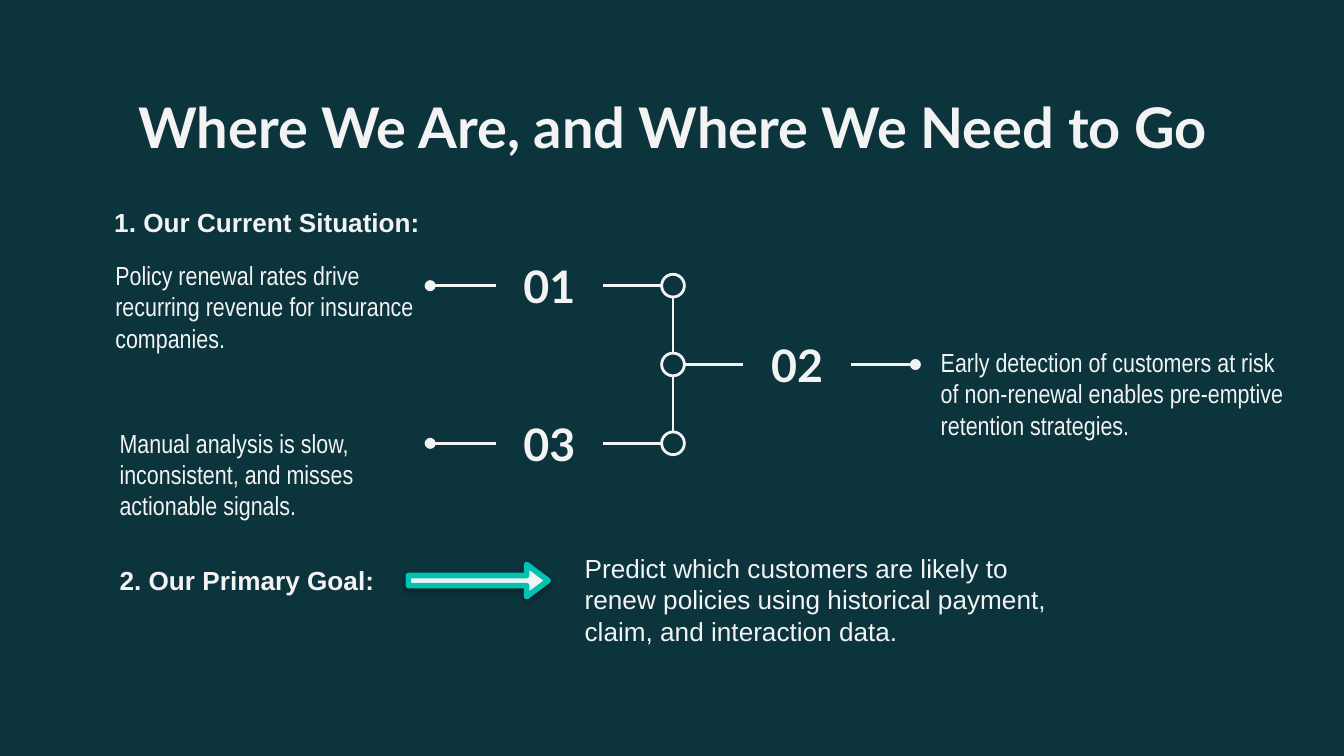
from pptx import Presentation
from pptx.dml.color import RGBColor
from pptx.enum.shapes import MSO_CONNECTOR, MSO_SHAPE
from pptx.enum.text import MSO_ANCHOR, PP_ALIGN
from pptx.oxml import parse_xml
from pptx.oxml.ns import nsdecls
from pptx.util import Cm, Pt

DARK = RGBColor(0x0C, 0x34, 0x3D)
PALE = RGBColor(0xF3, 0xF3, 0xF3)
TEAL = RGBColor(0x00, 0xC3, 0xB1)
LINE = MSO_CONNECTOR.STRAIGHT
OVAL, ARROW = MSO_SHAPE.OVAL, MSO_SHAPE.RIGHT_ARROW
TOP, MIDDLE = MSO_ANCHOR.TOP, MSO_ANCHOR.MIDDLE
LEFT, CENTER = PP_ALIGN.LEFT, PP_ALIGN.CENTER

SHADOW = f"""<a:effectLst {nsdecls('a')}>
<a:outerShdw blurRad="39370" dist="20320" dir="5400000" rotWithShape="0">
<a:srgbClr val="000000"><a:alpha val="38000"/></a:srgbClr>
</a:outerShdw></a:effectLst>"""


class Deck:
    def __init__(self):
        self.prs = Presentation()
        self.prs.slide_width, self.prs.slide_height = Cm(25.4), Cm(14.29)
        self.slide = self.prs.slides.add_slide(self.prs.slide_layouts[5])
        self.shapes = self.slide.shapes
        fill = self.slide.background.fill
        fill.solid()
        fill.fore_color.rgb = DARK

    def style(self, box, text, font, size, bold, align, anchor, pad):
        frame = box.text_frame
        frame.word_wrap = True
        frame.vertical_anchor = anchor
        frame.margin_left = frame.margin_right = Cm(0.25)
        frame.margin_top = frame.margin_bottom = Cm(pad)
        para = frame.paragraphs[0]
        para.text = text
        para.alignment = align
        para.font.name, para.font.size, para.font.bold = font, Pt(size), bold
        para.font.color.rgb = PALE

    def title(self, text, x, y, w, h):
        box = self.shapes.title
        box.left, box.top, box.width, box.height = Cm(x), Cm(y), Cm(w), Cm(h)
        self.style(box, text, "Lato", 30, True, CENTER, TOP, 0.25)

    def text(self, text, x, y, w, h, font="Arial", size=14, bold=False,
             align=LEFT, anchor=TOP, pad=0.13):
        box = self.shapes.add_textbox(Cm(x), Cm(y), Cm(w), Cm(h))
        self.style(box, text, font, size, bold, align, anchor, pad)
        return box

    def node(self, x, y, size):
        ring = self.shapes.add_shape(
            OVAL, Cm(x - size / 2), Cm(y - size / 2), Cm(size), Cm(size))
        ring.shadow.inherit = False
        ring.fill.background()
        ring.line.color.rgb, ring.line.width = PALE, Pt(1.5)
        return ring

    def line(self, x1, y1, x2, y2, dot=False):
        line = self.shapes.add_connector(LINE, Cm(x1), Cm(y1), Cm(x2), Cm(y2))
        line.line.color.rgb, line.line.width = PALE, Pt(1.5)
        props = line._element.spPr
        if dot:
            props.get_or_add_ln().append(
                parse_xml(f'<a:tailEnd {nsdecls("a")} type="oval"/>'))
        props.append(parse_xml(f'<a:effectLst {nsdecls("a")}/>'))
        return line

    def arrow(self, x, y, w, h):
        arrow = self.shapes.add_shape(ARROW, Cm(x), Cm(y), Cm(w), Cm(h))
        arrow.adjustments[0], arrow.adjustments[1] = 0.314, 0.667
        arrow.fill.solid()
        arrow.fill.fore_color.rgb = PALE
        arrow.line.color.rgb, arrow.line.width = TEAL, Pt(3)
        arrow._element.spPr.append(parse_xml(SHADOW))


# Timeline grid
AXIS, FIRST, STEP = 12.72, 5.4, 1.49
RING, NUM_W, NUM_H = 0.43, 2.03, 1.27
# Side of the axis, number x, dot x, note box, note
STEPS = [
    (-1, 9.37, 8.13, (1.93, 4.65, 6.35, 1.35),
     "Policy renewal rates drive recurring revenue for insurance companies."),
    (1, 14.05, 17.3, (17.53, 6.3, 7.16, 1.35),
     "Early detection of customers at risk of non-renewal enables "
     "pre-emptive retention strategies."),
    (-1, 9.37, 8.13, (2.01, 7.82, 6.15, 1.35),
     "Manual analysis is slow, inconsistent, and misses actionable signals."),
]

deck = Deck()
deck.title("Where We Are, and Where We Need to Go", 2.01, 1.5, 21.41, 1.6)

# Current situation: numbered steps on the axis
deck.text("1. Our Current Situation:", 1.91, 3.78, 6.35, 0.86, bold=True)
for i, (side, num_x, dot_x, area, note) in enumerate(STEPS):
    y = FIRST + i * STEP
    ring = deck.node(AXIS, y, RING)
    deck.text(note, *area, font="Arial Narrow", pad=0.25)
    num = deck.text(f"{i + 1:02}", num_x, y - NUM_H / 2, NUM_W, NUM_H,
                    "Lato", 24, True, CENTER, MIDDLE, 0.25)
    # Inner and outer sides of the number box
    if side < 0:
        near, far, near_x, far_x = 3, 1, num_x + NUM_W, num_x
    else:
        near, far, near_x, far_x = 1, 3, num_x, num_x + NUM_W
    edge = AXIS + side * RING / 2
    deck.line(edge, y, near_x, y).end_connect(num, near)
    deck.line(far_x, y, dot_x, y, dot=True).begin_connect(num, far)
    if i:
        deck.line(AXIS, y - STEP + RING / 2,
                  AXIS, y - RING / 2).end_connect(ring, 0)

# Primary goal
deck.text("2. Our Primary Goal:", 2.01, 10.54, 6.35, 0.86, bold=True)
deck.arrow(7.72, 10.67, 2.64, 0.61)
deck.text("Predict which customers are likely to renew policies using "
          "historical payment, claim, and interaction data.",
          10.8, 10.31, 9.83, 2.06)

deck.prs.save("out.pptx")
